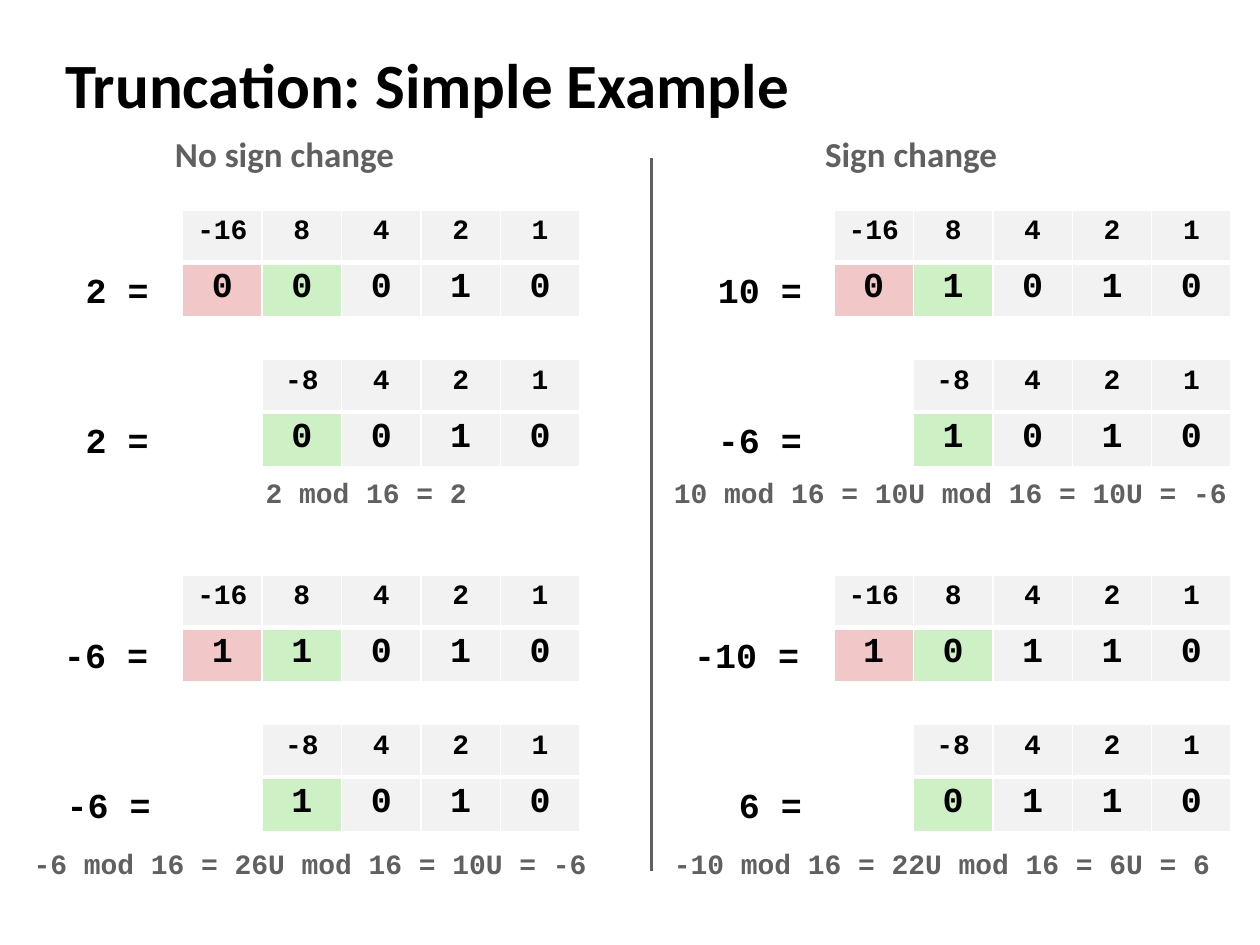
from dataclasses import dataclass

from lxml import etree
from pptx import Presentation
from pptx.dml.color import RGBColor
from pptx.enum.shapes import MSO_CONNECTOR
from pptx.enum.text import MSO_ANCHOR, MSO_AUTO_SIZE, PP_ALIGN
from pptx.oxml.ns import qn
from pptx.util import Pt

BLACK = RGBColor(0x00, 0x00, 0x00)
WHITE = RGBColor(0xFF, 0xFF, 0xFF)
GREY = RGBColor(0x60, 0x60, 0x60)
PLAIN_BIT = RGBColor(0xF2, 0xF2, 0xF2)
DROPPED_BIT = RGBColor(0xF1, 0xC7, 0xC7)
SIGN_BIT = RGBColor(0xCD, 0xF1, 0xC5)

LEFT, CENTER = PP_ALIGN.LEFT, PP_ALIGN.CENTER
MIDDLE = MSO_ANCHOR.MIDDLE
FIT_SHAPE, NO_FIT = MSO_AUTO_SIZE.SHAPE_TO_FIT_TEXT, MSO_AUTO_SIZE.NONE
STRAIGHT = MSO_CONNECTOR.STRAIGHT

SANS, MONO = "Calibri", "Courier New"
TITLE_ONLY = 5
BIT_COLUMNS = 5
BIT_WIDTH = 45.4
ROW_HEIGHT = 30
FIRST_TOP = 120
TRUNCATED_OFFSET = 85.5
EXAMPLE_PITCH = 208.5
NOTE_TOPS = (268, 480)
THIN, THICK = 1, 3


@dataclass(frozen=True)
class Number:
    label: str
    label_left: float
    label_width: float
    bits: str


@dataclass(frozen=True)
class Example:
    full: Number
    truncated: Number
    note: str
    note_left: float
    note_width: float


@dataclass(frozen=True)
class Panel:
    heading: str
    heading_left: float
    heading_width: float
    table_left: float
    examples: tuple[Example, ...]


PANELS = (
    Panel("No sign change", 92.9, 166.3, 104.4, (
        Example(Number("2 =", 41.8, 63.4, "00010"),
                Number("2 =", 41.8, 63.4, "0010"),
                "2 mod 16 = 2", 144.7, 131),
        Example(Number("-6 =", 29.5, 74.9, "11010"),
                Number("-6 =", 31, 74.9, "1010"),
                "-6 mod 16 = 26U mod 16 = 10U = -6", 12.2, 335.5),
    )),
    Panel("Sign change", 464.4, 133.2, 476.6, (
        Example(Number("10 =", 403.2, 74.9, "01010"),
                Number("-6 =", 403.2, 74.9, "1010"),
                "10 mod 16 = 10U mod 16 = 10U = -6", 378, 335.5),
        Example(Number("-10 =", 389.5, 87.1, "10110"),
                Number(" 6 =", 403.2, 74.9, "0110"),
                "-10 mod 16 = 22U mod 16 = 6U = 6", 378, 325.4),
    )),
)


def write_text(frame, text: str, *, size: float, font: str = MONO,
               color: RGBColor = BLACK, align=LEFT) -> None:
    paragraph = frame.paragraphs[0]
    paragraph.alignment = align
    run = paragraph.add_run()
    run.text = text
    run.font.size = Pt(size)
    run.font.name = font
    run.font.bold = True
    run.font.color.rgb = color


def add_caption(slide, text: str, left: float, top: float, width: float,
                height: float, **text_format) -> None:
    box = slide.shapes.add_textbox(Pt(left), Pt(top), Pt(width), Pt(height))
    box.text_frame.word_wrap = False
    box.text_frame.auto_size = FIT_SHAPE
    write_text(box.text_frame, text, **text_format)


def set_borders(cell, **widths: float) -> None:
    """Draw white cell borders; the keywords are L, R, T and B."""
    properties = cell._tc.get_or_add_tcPr()
    for side, width in widths.items():
        border = etree.SubElement(properties, qn(f"a:ln{side}"), w=str(Pt(width)))
        fill = etree.SubElement(border, qn("a:solidFill"))
        etree.SubElement(fill, qn("a:srgbClr"), val=str(WHITE))


def place_values(bit_count: int) -> list[str]:
    """Two's complement weights, with the sign bit first."""
    weights = [2 ** power for power in reversed(range(bit_count))]
    return [str(-weights[0]), *map(str, weights[1:])]


def bit_color(column: int) -> RGBColor:
    return {0: DROPPED_BIT, 1: SIGN_BIT}.get(column, PLAIN_BIT)


def add_number(slide, number: Number, table_left: float, top: float) -> None:
    add_caption(slide, number.label, number.label_left, top + ROW_HEIGHT,
                number.label_width, 31.5, size=20)
    table = slide.shapes.add_table(
        2, BIT_COLUMNS, Pt(table_left), Pt(top),
        Pt(BIT_WIDTH * BIT_COLUMNS), Pt(2 * ROW_HEIGHT)).table
    for column in table.columns:
        column.width = Pt(BIT_WIDTH)

    first_column = BIT_COLUMNS - len(number.bits)
    rows = ((place_values(len(number.bits)), 16), (number.bits, 20))
    for row, (values, size) in enumerate(rows):
        table.rows[row].height = Pt(ROW_HEIGHT)
        for column in range(BIT_COLUMNS):
            cell = table.cell(row, column)
            set_borders(cell, L=THIN, R=THIN,
                        T=THICK if row else THIN, B=THIN if row else THICK)
            cell.fill.solid()
            if column < first_column:
                cell.fill.fore_color.rgb = WHITE
                continue
            cell.fill.fore_color.rgb = bit_color(column) if row else PLAIN_BIT
            write_text(cell.text_frame, values[column - first_column],
                       size=size, align=CENTER)


def add_panel(slide, panel: Panel) -> None:
    add_caption(slide, panel.heading, panel.heading_left, 72,
                panel.heading_width, 36, size=20, font=SANS, color=GREY)
    for index, (example, note_top) in enumerate(zip(panel.examples, NOTE_TOPS)):
        top = FIRST_TOP + index * EXAMPLE_PITCH
        add_number(slide, example.full, panel.table_left, top)
        add_number(slide, example.truncated, panel.table_left,
                   top + TRUNCATED_OFFSET)
        add_caption(slide, example.note, example.note_left, note_top,
                    example.note_width, 26.6, size=16, color=GREY)


def add_title(slide, text: str) -> None:
    title = slide.shapes.title
    title.left, title.top, title.width, title.height = map(Pt, (30, 25, 690, 45.5))
    frame = title.text_frame
    frame.auto_size = NO_FIT
    frame.vertical_anchor = MIDDLE
    write_text(frame, text, size=36, font=SANS)
    indents = frame.paragraphs[0]._p.get_or_add_pPr()
    indents.set("marL", str(Pt(9.4)))
    indents.set("indent", str(-Pt(9.4)))


def add_divider(slide) -> None:
    divider = slide.shapes.add_connector(
        STRAIGHT, Pt(372.2), Pt(90), Pt(372.2), Pt(498))
    divider.line.color.rgb = GREY
    divider.line.width = Pt(2)
    etree.SubElement(divider._element.spPr, qn("a:effectLst"))


def main() -> None:
    presentation = Presentation()
    presentation.slide_width, presentation.slide_height = Pt(720), Pt(540)
    slide = presentation.slides.add_slide(presentation.slide_layouts[TITLE_ONLY])
    add_title(slide, "Truncation: Simple Example")
    add_divider(slide)
    for panel in PANELS:
        add_panel(slide, panel)
    presentation.save("out.pptx")


if __name__ == "__main__":
    main()
